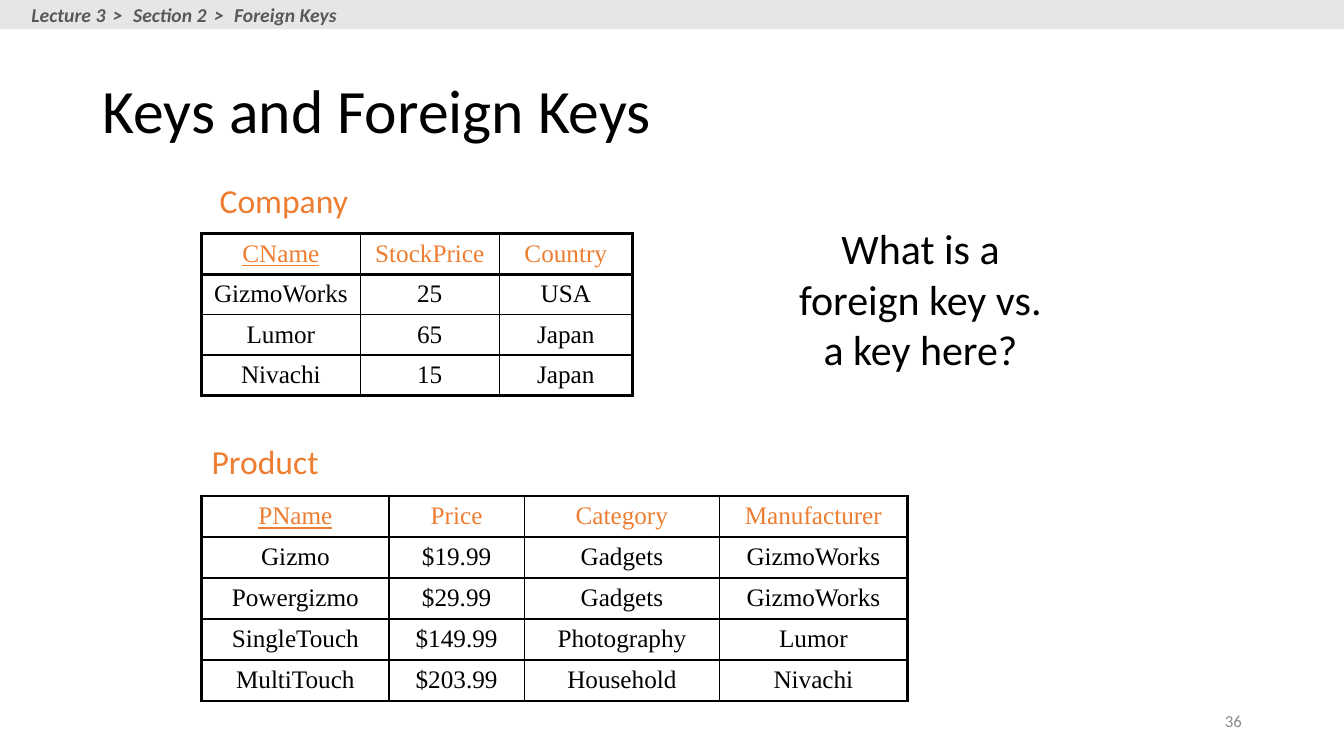
from dataclasses import dataclass

from lxml import etree
from pptx import Presentation
from pptx.dml.color import RGBColor
from pptx.enum.shapes import MSO_SHAPE
from pptx.enum.text import MSO_ANCHOR, PP_ALIGN
from pptx.oxml.ns import qn
from pptx.util import Inches, Pt

RECT = MSO_SHAPE.RECTANGLE
TOP, MIDDLE = MSO_ANCHOR.TOP, MSO_ANCHOR.MIDDLE
LEFT, CENTER, RIGHT = PP_ALIGN.LEFT, PP_ALIGN.CENTER, PP_ALIGN.RIGHT

WIDE, HIGH = 13.33, 7.5
COLS, ROWS = 100, 75


@dataclass(frozen=True)
class Theme:
    sans: str = "Calibri"
    serif: str = "Times New Roman"
    ink: str = "000000"
    paper: str = "FFFFFF"
    accent: str = "ED7D31"
    bar: str = "E7E6E6"
    crumb: str = "595959"
    muted: str = "8C8C8C"
    title: int = 44
    ask: int = 30
    label: int = 24
    cell: int = 18
    path_size: int = 14
    number: int = 12
    thick: float = 2.25
    thin: float = 1


THEME = Theme()

COMPANY = [
    ("CName", "StockPrice", "Country"),
    ("GizmoWorks", "25", "USA"),
    ("Lumor", "65", "Japan"),
    ("Nivachi", "15", "Japan"),
]
PRODUCT = [
    ("PName", "Price", "Category", "Manufacturer"),
    ("Gizmo", "$19.99", "Gadgets", "GizmoWorks"),
    ("Powergizmo", "$29.99", "Gadgets", "GizmoWorks"),
    ("SingleTouch", "$149.99", "Photography", "Lumor"),
    ("MultiTouch", "$203.99", "Household", "Nivachi"),
]


def col(count):
    return Inches(WIDE * count / COLS)


def row(count):
    return Inches(HIGH * count / ROWS)


def area(left, top, width, height):
    return col(left), row(top), col(width), row(height)


def style(para, size, color, face=THEME.sans, align=LEFT):
    para.alignment = align
    font = para.font
    font.name, font.size = face, Pt(size)
    font.color.rgb = RGBColor.from_string(color)


def add_text(slide, place, text, size, color, align=LEFT, anchor=TOP, wrap=True):
    frame = slide.shapes.add_textbox(*area(*place)).text_frame
    frame.word_wrap = wrap
    frame.vertical_anchor = anchor
    para = frame.paragraphs[0]
    para.text = text
    style(para, size, color, align=align)
    return para


def add_crumbs(slide, steps):
    # Grey band across the top
    band = slide.shapes.add_shape(RECT, *area(0, 0, COLS, 2.9))
    band.shadow.inherit = False
    band.fill.solid()
    band.fill.fore_color.rgb = RGBColor.from_string(THEME.bar)
    band.line.fill.background()

    # Steps, with wider letter spacing around each arrow
    para = add_text(slide, (1.6, -0.2, 24.45, 3.4), steps[0],
                    THEME.path_size, THEME.crumb, wrap=False)
    para.font.bold = para.font.italic = True
    for step in steps[1:]:
        mark = para.add_run()
        mark.text = " > "
        mark.font._element.set("spc", "210")
        para.add_run().text = step


def add_edge(cell, side, width):
    props = cell._tc.get_or_add_tcPr()
    line = etree.SubElement(props, qn(f"a:ln{side}"), w=str(Pt(width)))
    fill = etree.SubElement(line, qn("a:solidFill"))
    etree.SubElement(fill, qn("a:srgbClr"), val=THEME.ink)


def add_grid(slide, left, top, widths, height, data):
    place = area(left, top, sum(widths), height * len(data))
    table = slide.shapes.add_table(len(data), len(widths), *place).table
    for column, width in zip(table.columns, widths):
        column.width = col(width)
    end_row, end_col = len(data) - 1, len(widths) - 1

    for r, values in enumerate(data):
        table.rows[r].height = row(height)
        for c, value in enumerate(values):
            cell = table.cell(r, c)
            # Thick outer frame and header rule, thin lines inside
            heavy = {"L": c == 0, "R": c == end_col,
                     "T": r <= 1, "B": r in (0, end_row)}
            for side, bold in heavy.items():
                add_edge(cell, side, THEME.thick if bold else THEME.thin)
            cell.fill.solid()
            cell.fill.fore_color.rgb = RGBColor.from_string(THEME.paper)
            cell.vertical_anchor = MIDDLE

            # Header in accent colour, key column underlined
            para = cell.text_frame.paragraphs[0]
            para.text = value
            style(para, THEME.cell, THEME.ink if r else THEME.accent,
                  THEME.serif, CENTER)
            para.font.bold = False
            para.font.underline = r == 0 and c == 0


def main():
    deck = Presentation()
    deck.slide_width, deck.slide_height = Inches(WIDE), Inches(HIGH)
    slide = deck.slides.add_slide(deck.slide_layouts[6])

    # Heading and page number
    add_crumbs(slide, ["Lecture 3", "Section 2", "Foreign Keys"])
    title = add_text(slide, (6.9, 4, 86.25, 14.5), "Keys and Foreign Keys",
                     THEME.title, THEME.ink, anchor=MIDDLE)
    title.line_spacing = 0.9
    add_text(slide, (70.65, 69.5, 22.5, 4), "36",
             THEME.number, THEME.muted, RIGHT, MIDDLE)

    # Company table
    add_text(slide, (15.6, 17.4, 11.25, 5), "Company",
             THEME.label, THEME.accent, wrap=False)
    add_grid(slide, 15, 23.2, [11.8, 10.35, 9.9], 4, COMPANY)

    # Product table
    add_text(slide, (15, 43.3, 9.5, 5), "Product",
             THEME.label, THEME.accent, wrap=False)
    add_grid(slide, 15, 49.2, [13.95, 10.05, 14.55, 13.95], 4.07, PRODUCT)

    # Question
    add_text(slide, (58.5, 21.6, 20, 16.2),
             "What is a foreign key vs. a key here?",
             THEME.ask, THEME.ink, CENTER)

    deck.save("out.pptx")


if __name__ == "__main__":
    main()
